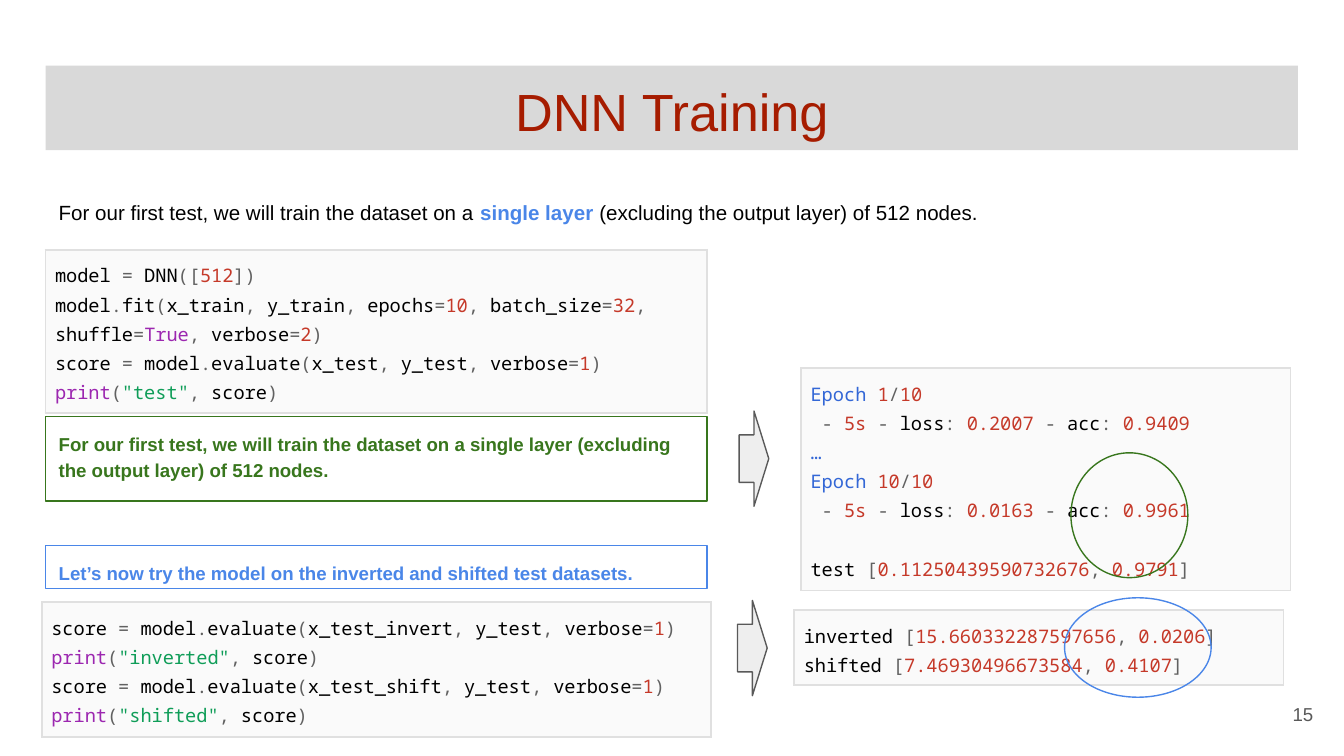
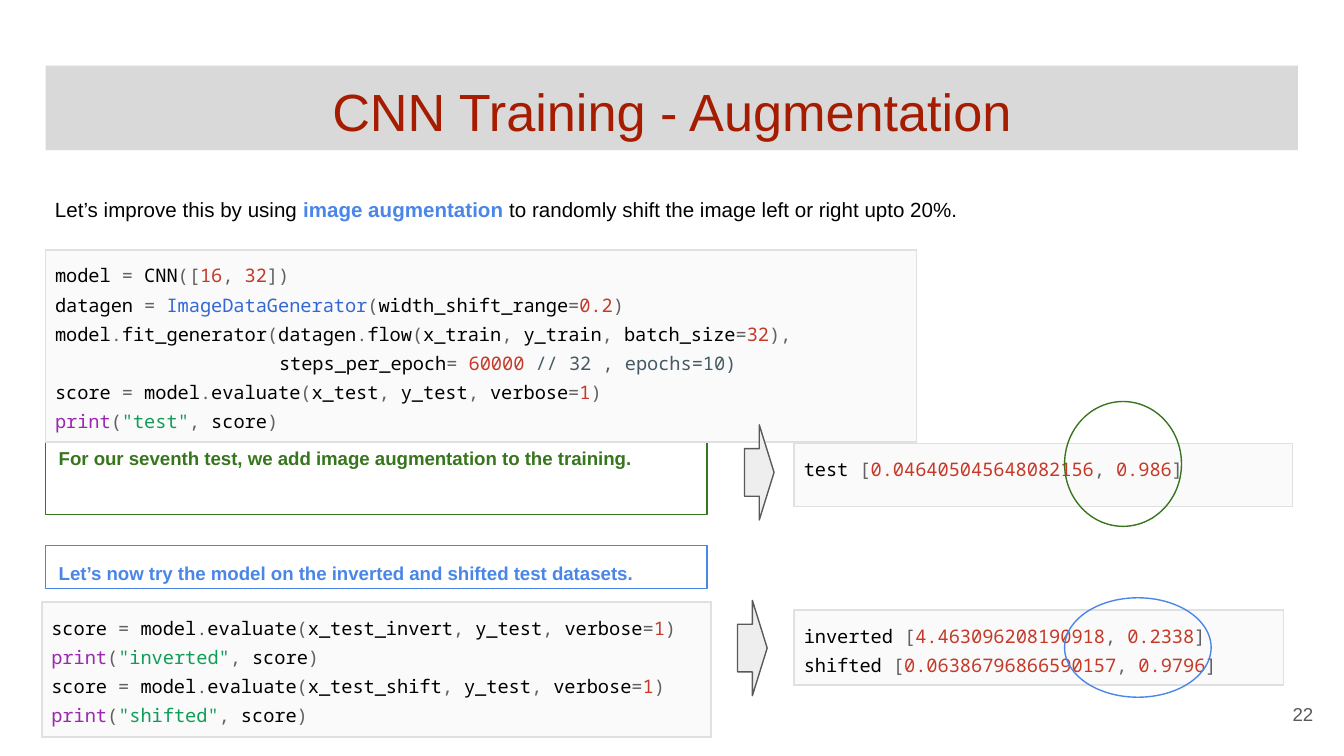
from itertools import groupby

from lxml import etree
from pptx import Presentation, util as u
from pptx.dml.color import RGBColor
from pptx.enum import shapes, text
from pptx.oxml.ns import qn

BLACK, GREY, RED = "000000", "616161", "C53929"
GREEN, BLUE = "38761D", "4A86E8"
STRING, COMMENT = "0F9D58", "455A64"
PURPLE, NAME_BLUE = "9C27B0", "3367D6"
WORD_COLORS = {"print": PURPLE, "True": PURPLE, "Epoch": NAME_BLUE,
               "ImageDataGenerator": NAME_BLUE, "…": NAME_BLUE}
BODY_FONT, CODE_FONT = "Arial", "Noto Sans Mono"
LEFT, BAND_WIDTH, NOTE_WIDTH = 0.86, 23.67, 12.5
LINE_SPACING = 1.15
CODE_LINE = 15.6  # points

SCORE_TEST = ["score = model.evaluate(x_test, y_test, verbose=1)",
              'print("test", score)']
SCORE_VARIANTS = [
    "score = model.evaluate(x_test_invert, y_test, verbose=1)",
    'print("inverted", score)',
    "score = model.evaluate(x_test_shift, y_test, verbose=1)",
    'print("shifted", score)',
]


def rgb(value):
    return RGBColor.from_string(value)


def place(*lengths):
    return [u.Cm(length) for length in lengths]


def set_attributes(target, values):
    for name, value in values.items():
        setattr(target, name, value)


def set_margins(target, margin, **changes):
    sides = dict.fromkeys(("left", "top", "right", "bottom"), margin) | changes
    set_attributes(target, {f"margin_{side}": u.Cm(size)
                            for side, size in sides.items()})


def add_spans(para, spans, size, font=BODY_FONT):
    """Add runs given as (words, colour) or (words, colour, bold)."""
    for words, color, *bold in spans:
        span = para.add_run()
        span.text = words
        set_attributes(span.font, {"name": font, "size": u.Pt(size),
                                   "bold": bool(bold and bold[0])})
        span.font.color.rgb = rgb(color)


def code_spans(line):
    """Split a line of code into coloured spans."""
    code, mark, comment = line.partition("//")
    spans = []
    for number, part in enumerate(code.split('"')):
        if number % 2:
            spans.append((f'"{part}"', STRING))
            continue

        def in_word(i):
            decimal_point = part[i] == "." and part[i - 1:i].isdigit()
            return part[i].isalnum() or part[i] == "_" or decimal_point

        for is_word, places in groupby(range(len(part)), in_word):
            token = "".join(part[i] for i in places)
            plain = RED if token[0].isdigit() else BLACK if is_word else GREY
            spans.append((token, WORD_COLORS.get(token, plain)))
    if mark:
        spans.append((mark + comment, COMMENT))
    return spans


def add_title(page, words):
    title = page.shapes.title
    set_attributes(title, dict(zip(("left", "top", "width", "height"),
                                   place(LEFT, 1.24, BAND_WIDTH, 1.6))))
    title.fill.solid()
    title.fill.fore_color.rgb = rgb("D9D9D9")
    frame = title.text_frame
    set_attributes(frame, {"word_wrap": True,
                           "auto_size": text.MSO_AUTO_SIZE.NONE,
                           "vertical_anchor": text.MSO_ANCHOR.TOP})
    set_margins(frame, 0.25)
    para = frame.paragraphs[0]
    para.alignment = text.PP_ALIGN.CENTER
    add_spans(para, [(words, "A61C00")], 28)


def add_text(page, box, spans, size, align=text.PP_ALIGN.LEFT,
             spacing=LINE_SPACING, bottom=0.25):
    frame = page.shapes.add_textbox(*place(*box)).text_frame
    set_attributes(frame, {"word_wrap": True,
                           "vertical_anchor": text.MSO_ANCHOR.MIDDLE})
    set_margins(frame, 0.25, bottom=bottom)
    para = frame.paragraphs[0]
    set_attributes(para, {"alignment": align, "line_spacing": spacing})
    add_spans(para, spans, size)


def add_outline(page, kind, box, line, fill=None):
    shape = page.shapes.add_shape(kind, *place(*box))
    shape.shadow.inherit = False
    if fill:
        shape.fill.solid()
        shape.fill.fore_color.rgb = rgb(fill)
    else:
        shape.fill.background()
    shape.line.color.rgb = rgb(line)
    shape.line.width = u.Pt(0.75)
    return shape


def add_note(page, top, height, words, color):
    shape = add_outline(page, shapes.MSO_SHAPE.RECTANGLE,
                        (LEFT, top, NOTE_WIDTH, height), color)
    frame = shape.text_frame
    set_attributes(frame, {"word_wrap": True,
                           "vertical_anchor": text.MSO_ANCHOR.TOP})
    set_margins(frame, 0.25)
    para = frame.paragraphs[0]
    set_attributes(para, {"alignment": text.PP_ALIGN.LEFT,
                          "line_spacing": LINE_SPACING})
    add_spans(para, [(words, color, True)], 10)


def add_arrow(page, left, top):
    add_outline(page, shapes.MSO_SHAPE.RIGHT_ARROW, (left, top, 0.56, 1.8),
                "595959", "EEEEEE")


def add_ring(page, box, color):
    add_outline(page, shapes.MSO_SHAPE.OVAL, box, color)


def add_cell_borders(cell, color):
    properties = cell._tc.get_or_add_tcPr()
    for side in ("lnL", "lnR", "lnT", "lnB"):
        border = etree.SubElement(properties, qn(f"a:{side}"), w=str(u.Pt(1)))
        fill = etree.SubElement(border, qn("a:solidFill"))
        etree.SubElement(fill, qn("a:srgbClr"), val=color)


def add_code(page, box, lines, indents=None, gaps=None):
    """Add a one-cell table of code; indents (characters) and gaps (lines
    above) are keyed by line number."""
    table = page.shapes.add_table(1, 1, *place(*box)).table
    set_attributes(table, {"first_row": False, "horz_banding": False})
    cell = table.cell(0, 0)
    set_margins(cell, 0.18)
    add_cell_borders(cell, "E0E0E0")
    cell.fill.solid()
    cell.fill.fore_color.rgb = rgb("FAFAFA")
    frame = cell.text_frame
    for number, line in enumerate(lines):
        para = frame.add_paragraph() if number else frame.paragraphs[0]
        para.line_spacing = LINE_SPACING
        if number in (gaps or {}):
            para.space_before = u.Pt(gaps[number] * CODE_LINE)
        if number in (indents or {}):
            margin = u.Pt(indents[number] * 6)
            para._p.get_or_add_pPr().set("marL", str(margin))
        add_spans(para, code_spans(line), 10, CODE_FONT)


def start_page(deck, title, number):
    page = deck.slides.add_slide(deck.slide_layouts[5])
    add_title(page, title)
    add_text(page, (23.55, 12.95, 1.52, 1.09), [(number, "595959")], 10,
             text.PP_ALIGN.RIGHT, 1.0)
    return page


def add_variant_test(page, results):
    """Add the lower half: the test on inverted and shifted data."""
    add_code(page, (0.79, 11.38, 12.65, 2.55), SCORE_VARIANTS)
    add_note(page, 10.31, 0.81, "Let’s now try the model on the inverted and "
             "shifted test datasets.", BLUE)
    add_code(page, (15.01, 11.53, 9.25, 1.42), results)
    add_arrow(page, 13.94, 11.35)
    add_ring(page, (20.12, 11.3, 2.77, 1.88), BLUE)


def add_dnn_page(deck):
    page = start_page(deck, "DNN Training", "15")
    add_text(page, (LEFT, 3.43, BAND_WIDTH, 1.6), [
        ("For our first test, we will train the dataset on a ", BLACK),
        ("single layer", BLUE, True),
        (" (excluding the output layer) of 512 nodes.", BLACK)], 11,
        bottom=0.75)
    add_note(page, 7.87, 1.6, "For our first test, we will train the dataset "
             "on a single layer (excluding the output layer) of 512 nodes.",
             GREEN)
    add_code(page, (LEFT, 4.72, NOTE_WIDTH, 3.09), [
        "model = DNN([512])",
        "model.fit(x_train, y_train, epochs=10, batch_size=32, "
        "shuffle=True, verbose=2)",
        *SCORE_TEST])
    add_code(page, (15.14, 6.96, 9.25, 4.2), [
        "Epoch 1/10",
        " - 5s - loss: 0.2007 - acc: 0.9409",
        "…",
        "Epoch 10/10",
        " - 5s - loss: 0.0163 - acc: 0.9961",
        "test [0.11250439590732676, 0.9791]"], gaps={5: 1})
    add_arrow(page, 13.97, 7.77)
    add_variant_test(page, ["inverted [15.660332287597656, 0.0206]",
                            "shifted [7.46930496673584, 0.4107]"])
    add_ring(page, (20.24, 8.56, 2.21, 2.36), GREEN)


def add_cnn_page(deck):
    page = start_page(deck, "CNN Training - Augmentation", "22")
    add_text(page, (0.79, 3.12, BAND_WIDTH, 1.6), [
        ("Let’s improve this by using ", BLACK),
        ("image augmentation", BLUE, True),
        (" to randomly shift the image left or right upto 20%.", BLACK)], 11)
    add_note(page, 8.13, 1.6, "For our seventh test, we add image "
             "augmentation to the training.", GREEN)
    add_code(page, (LEFT, 4.72, 16.46, 3.64), [
        "model = CNN([16, 32])",
        "datagen = ImageDataGenerator(width_shift_range=0.2)",
        "model.fit_generator(datagen.flow(x_train, y_train, batch_size=32),",
        "steps_per_epoch= 60000 // 32 , epochs=10)",
        *SCORE_TEST], indents={3: 20})
    add_variant_test(page, ["inverted [4.463096208190918, 0.2338]",
                            "shifted [0.06386796866590157, 0.9796]"])
    add_arrow(page, 14.07, 8.03)
    add_code(page, (15.01, 8.38, 9.42, 1.19),
             ["test [0.046405045648082156, 0.986]"])
    add_ring(page, (20.12, 7.59, 2.21, 2.36), GREEN)


def main():
    deck = Presentation()
    deck.slide_width, deck.slide_height = place(25.4, 14.29)
    add_dnn_page(deck)
    add_cnn_page(deck)
    deck.save("out.pptx")


if __name__ == "__main__":
    main()
